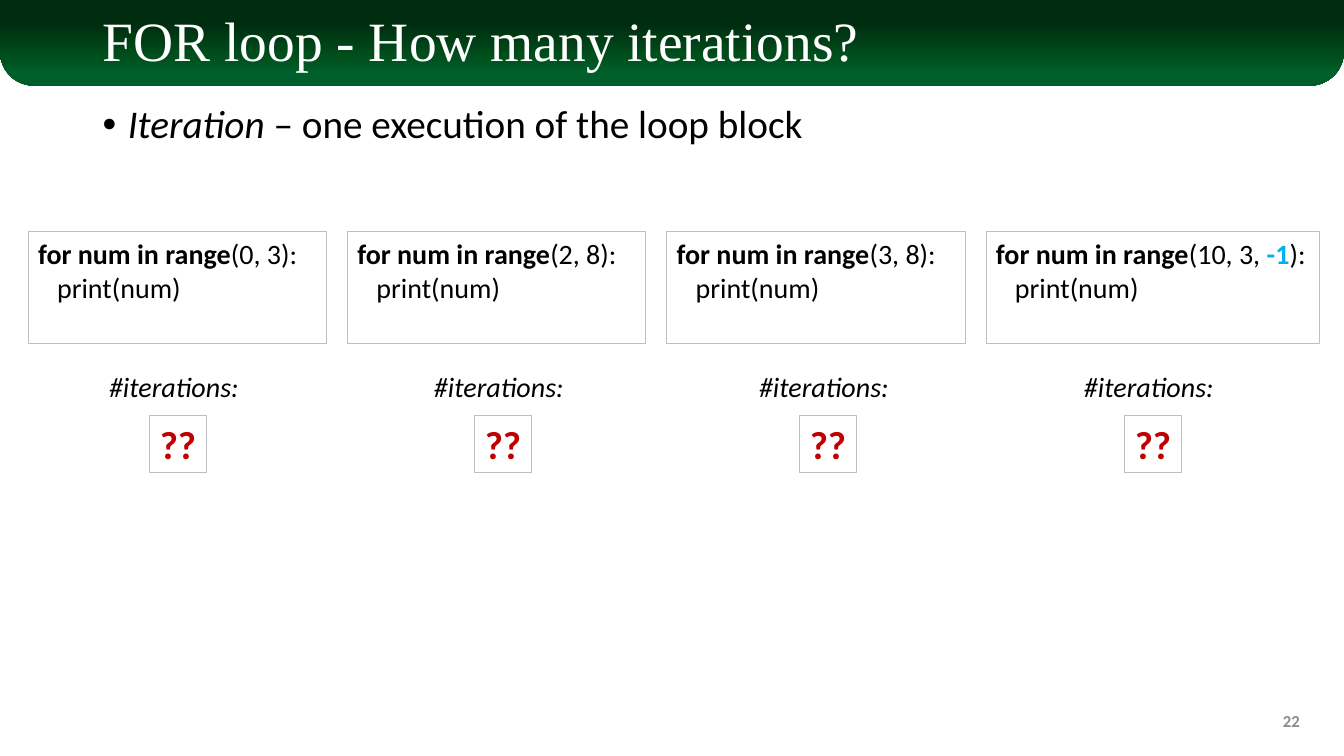
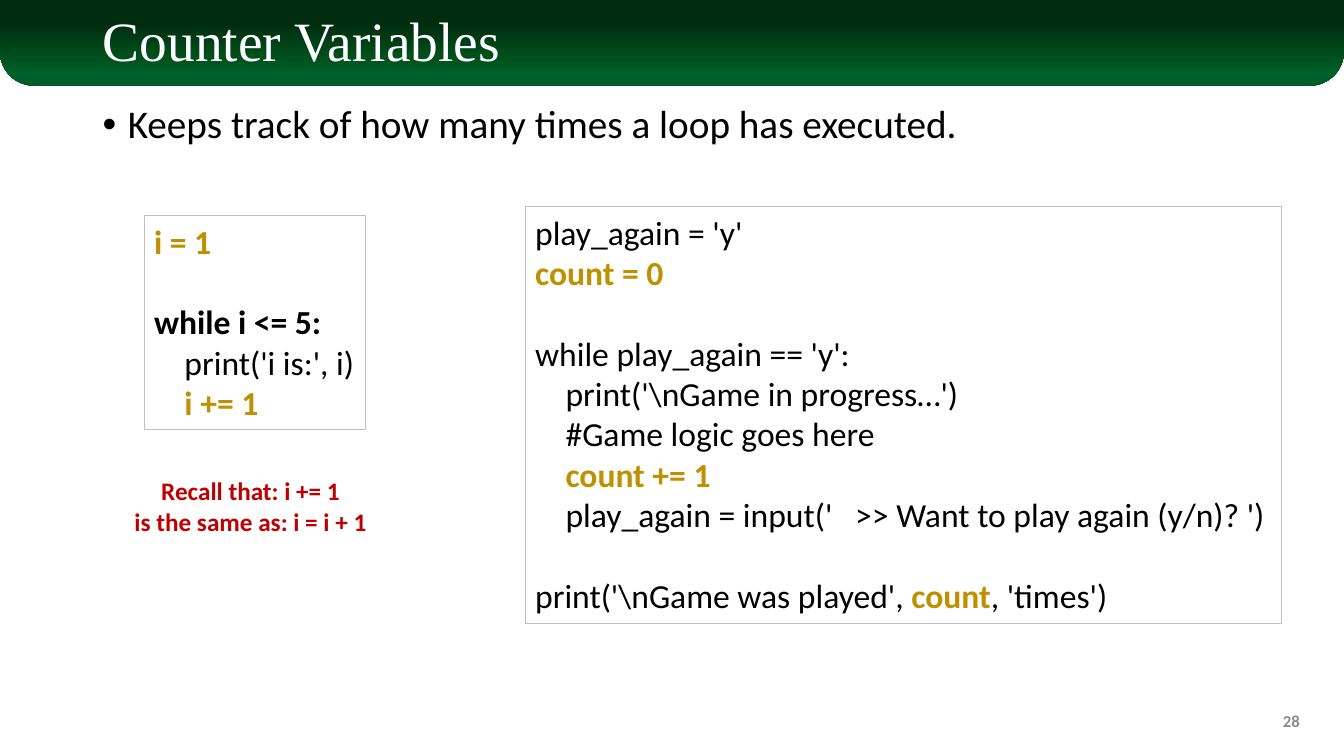
from lxml import etree
from pptx import Presentation
from pptx import util as u
from pptx.dml import color
from pptx.enum import shapes, text
from pptx.oxml import ns

PX = u.Inches(1) // 100
SLIDE_SIZE = (1333, 750)

COLORS = {
    "black": "000000", "white": "FFFFFF", "grey": "8C8C8C", "border": "BFBFBF",
    "red": "C00000", "gold": "BF9000", "blue": "00B0F0",
}
BAND_STOPS = [(0, "002D10"), (28, "002D10"), (68, "00501D"), (85, "00602B"), (100, "005C2B")]

# Run styles: changes to the format of the box
PLAIN, BOLD, ITALIC = {}, {"bold": True}, {"italic": True}
GOLD = {"bold": True, "color": "gold"}
BLUE = {"bold": True, "color": "blue"}

# Box formats
TITLE = {"name": "Times New Roman", "size": 39.6, "color": "white", "anchor": "MIDDLE", "spacing": 0.9}
BODY = {"size": 28, "spacing": 0.9, "bullet": "•"}
NUMBER = {"size": 12, "bold": True, "color": "grey", "align": "RIGHT", "anchor": "MIDDLE"}
SMALL_CODE = {"size": 20, "border": True}
CODE = {"size": 24, "border": True}
LABEL = {"size": 20, "italic": True, "align": "CENTER", "wrap": False}
ANSWER = {"size": 28, "bold": True, "color": "red", "align": "CENTER", "wrap": False, "border": True}
REMINDER = {"size": 18, "bold": True, "color": "red", "align": "CENTER"}

RANGES = [
    [("(0, 3):", PLAIN)],
    [("(2, 8):", PLAIN)],
    [("(3, 8):", PLAIN)],
    [("(10, 3, ", PLAIN), ("-1", BLUE), ("):", PLAIN)],
]
WHILE_LOOP = [
    [("i = 1", GOLD)],
    [],
    [("while i <= 5:", BOLD)],
    [("    print('i is:', i)", PLAIN)],
    [("    i += 1", GOLD)],
]
GAME_LOOP = [
    [("play_again = 'y'", PLAIN)],
    [("count = 0", GOLD)],
    [],
    [("while play_again == 'y':", PLAIN)],
    [(r"    print('\nGame in progress…')", PLAIN)],
    [("    #Game logic goes here", PLAIN)],
    [("    count += 1", GOLD)],
    [("    play_again = input('   >> Want to play again (y/n)? ')", PLAIN)],
    [],
    [(r"print('\nGame was played', ", PLAIN), ("count", GOLD), (", 'times')", PLAIN)],
]


def px(*lengths):
    return [round(length * PX) for length in lengths]


def rgb(name):
    return color.RGBColor.from_string(COLORS[name])


def plain(*lines):
    return [[(line, PLAIN)] for line in lines]


def spread(first, last, count):
    return [first + (last - first) * i / (count - 1) for i in range(count)]


def set_font(font, style):
    font.color.rgb = rgb(style.get("color", "black"))
    values = {
        "name": style.get("name", "Calibri"),
        "size": u.Pt(style["size"]),
        "bold": style.get("bold", False),
        "italic": style.get("italic", False),
    }
    for key, value in values.items():
        setattr(font, key, value)


def add_bullet(para, char):
    props = para._p.get_or_add_pPr()
    props.set("marL", str(25 * PX))
    props.set("indent", str(-25 * PX))
    etree.SubElement(props, ns.qn("a:buFont"), typeface="Arial")
    etree.SubElement(props, ns.qn("a:buChar"), char=char)


def add_text(page, at, lines, style):
    """Place lines, each a list of (text, run style), in a box of the given format."""
    if style.get("border"):
        box = page.shapes.add_shape(shapes.MSO_SHAPE.RECTANGLE, *px(*at))
        box.shadow.inherit = False
        box.fill.background()
        box.line.color.rgb = rgb("border")
        box.line.width = u.Pt(0.75)
    else:
        box = page.shapes.add_textbox(*px(*at))
    frame = box.text_frame
    frame.word_wrap = style.get("wrap", True)
    frame.vertical_anchor = text.MSO_ANCHOR[style.get("anchor", "TOP")]
    for i, line in enumerate(lines):
        para = frame.add_paragraph() if i else frame.paragraphs[0]
        if "bullet" in style:
            add_bullet(para, style["bullet"])
        para.alignment = text.PP_ALIGN[style.get("align", "LEFT")]
        para.line_spacing = style.get("spacing", 1.0)
        set_font(para.font, style)
        if not line:
            end = etree.SubElement(para._p, ns.qn("a:endParaRPr"))
            end.set("sz", str(style["size"] * 100))
        for words, change in line:
            span = para.add_run()
            span.text = words
            set_font(span.font, {**style, **change})


def add_band(page):
    band = page.shapes.add_shape(shapes.MSO_SHAPE.ROUND_2_SAME_RECTANGLE, *px(0, 0, SLIDE_SIZE[0], 85))
    band.shadow.inherit = False
    band.adjustments[0], band.adjustments[1] = 0, 0.4
    band.line.fill.background()
    band.fill.gradient()
    band.fill.gradient_angle = 270
    stops = band._element.spPr.find(".//" + ns.qn("a:gsLst"))
    for stop in list(stops):
        stops.remove(stop)
    for percent, value in BAND_STOPS:
        stop = etree.SubElement(stops, ns.qn("a:gs"), pos=str(percent * 1000))
        etree.SubElement(stop, ns.qn("a:srgbClr"), val=value)


def add_page(deck, title, bullet, number):
    page = deck.slides.add_slide(deck.slide_layouts[6])
    add_band(page)
    add_text(page, (92, 13, 1150, 61), plain(title), TITLE)
    add_text(page, (92, 99, 1150, 577), [bullet], BODY)
    add_text(page, (999, 695, 300, 40), plain(number), NUMBER)
    return page


def add_iterations(deck):
    bullet = [("Iteration", ITALIC), (" – one execution of the loop block", PLAIN)]
    page = add_page(deck, "FOR loop - How many iterations?", bullet, "22")
    count = len(RANGES)
    for i, (left, answer_left) in enumerate(zip(spread(28, 978, count), spread(148, 1115, count))):
        width = 331 if i == count - 1 else 296
        code = [[("for num in range", BOLD)] + RANGES[i], [("   print(num)", PLAIN)]]
        add_text(page, (left, 230, width, 111), code, SMALL_CODE)
        add_text(page, (answer_left - 55, 362, 159, 44), plain("#iterations:"), LABEL)
        add_text(page, (answer_left, 412, 57, 57), plain("??"), ANSWER)


def add_counters(deck):
    bullet = [("Keeps track of how many times a loop has executed.", PLAIN)]
    page = add_page(deck, "Counter Variables", bullet, "28")
    add_text(page, (143, 214, 220, 212), WHILE_LOOP, CODE)
    add_text(page, (109, 467, 279, 71), plain("Recall that: i += 1", "is the same as: i = i + 1"), REMINDER)
    add_text(page, (521, 205, 750, 414), GAME_LOOP, CODE)


def main():
    deck = Presentation()
    deck.slide_width, deck.slide_height = px(*SLIDE_SIZE)
    add_iterations(deck)
    add_counters(deck)
    deck.save("out.pptx")


if __name__ == "__main__":
    main()
